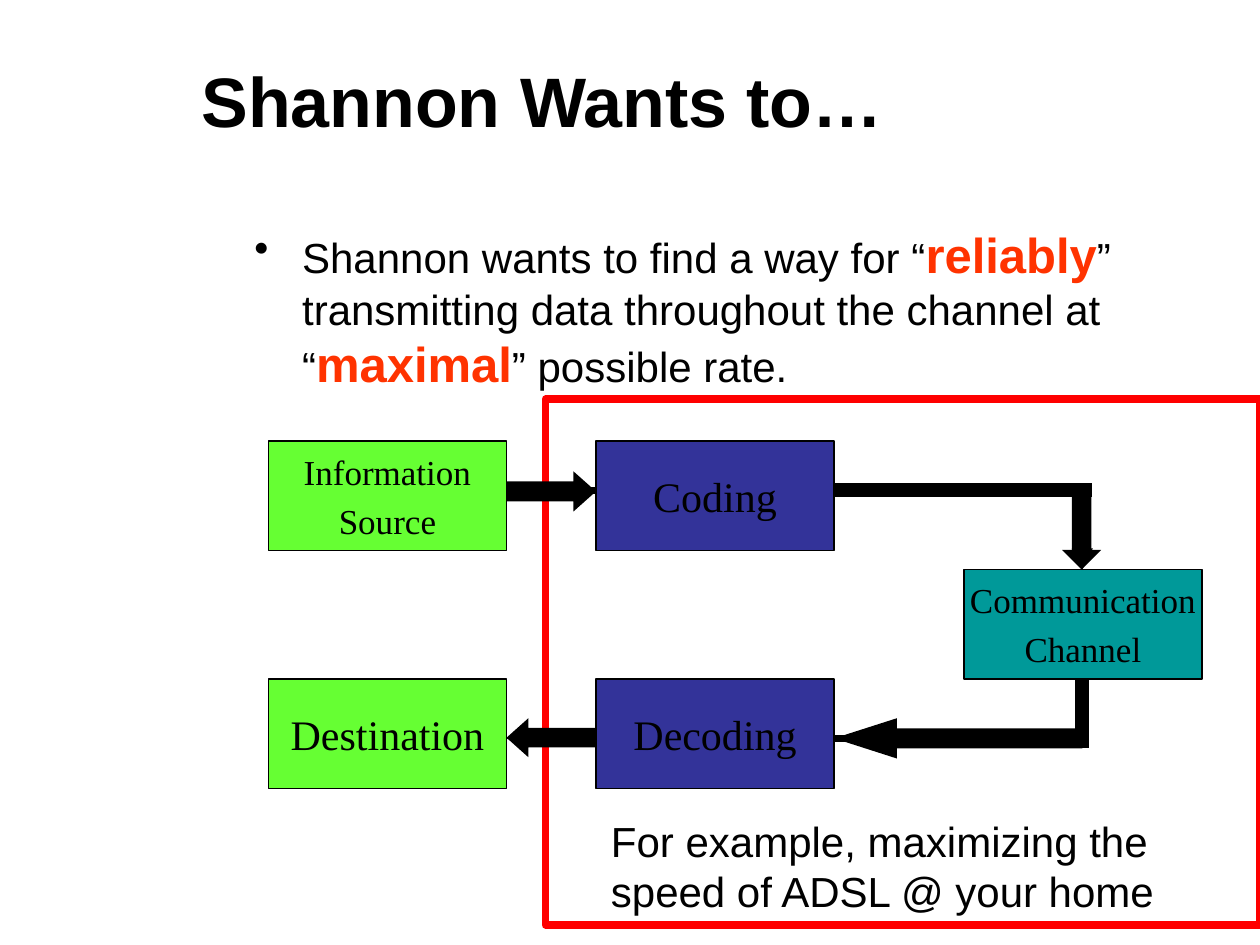
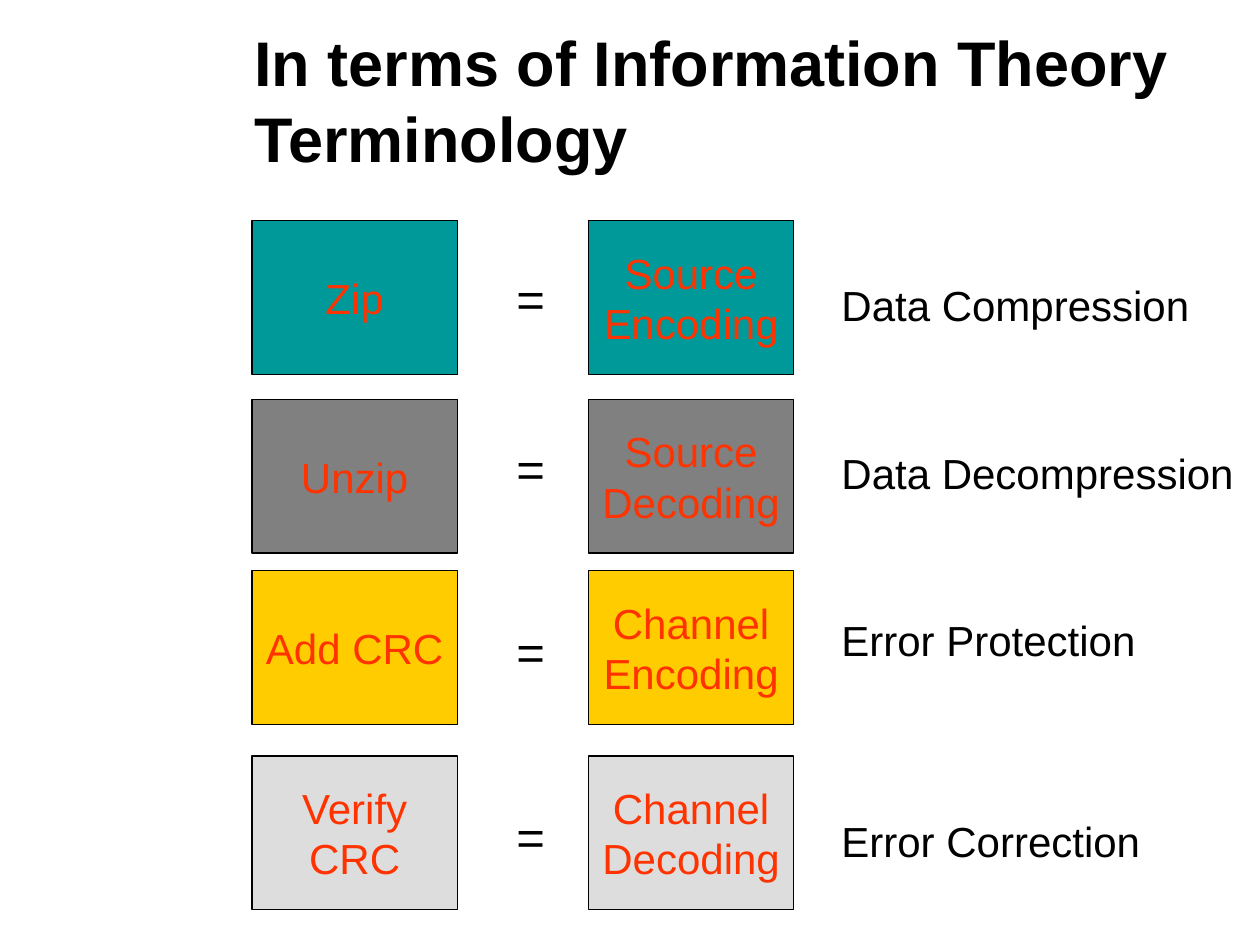
from lxml import etree
from pptx import Presentation
from pptx.dml.color import RGBColor
from pptx.enum import shapes, text
from pptx.oxml import ns
from pptx.util import Inches, Pt

BLACK = RGBColor(0x00, 0x00, 0x00)
RED = RGBColor(0xFF, 0x00, 0x00)
ACCENT = RGBColor(0xFF, 0x33, 0x00)
GREEN = RGBColor(0x66, 0xFF, 0x33)
BLUE = RGBColor(0x33, 0x33, 0x99)
TEAL = RGBColor(0x00, 0x99, 0x99)
GRAY = RGBColor(0x80, 0x80, 0x80)
YELLOW = RGBColor(0xFF, 0xCC, 0x00)
SILVER = RGBColor(0xDD, 0xDD, 0xDD)
SANS, SERIF = "Arial", "Times New Roman"
CENTER = text.PP_ALIGN.CENTER
MIDDLE = text.MSO_ANCHOR.MIDDLE
SHAPE = shapes.MSO_SHAPE


def write(sp, content, size=24, font=SANS, color=BLACK, bold=False, align=text.PP_ALIGN.LEFT,
          anchor=text.MSO_ANCHOR.TOP, wrap=True, fit=text.MSO_AUTO_SIZE.NONE, gap=0, bullet=None):
    """Write lines as paragraphs; parts between bars are larger, bold and in the accent colour."""
    tf = sp.text_frame
    tf.word_wrap, tf.auto_size, tf.vertical_anchor = wrap, fit, anchor
    for i, line in enumerate(content.split("\n")):
        p = tf.add_paragraph() if i else tf.paragraphs[0]
        p.alignment = align
        if i:
            p.space_before = Pt(gap)
        if bullet:
            pPr = p._p.get_or_add_pPr()
            pPr.set("marL", str(Inches(0.38)))
            pPr.set("indent", str(-Inches(0.38)))
            etree.SubElement(pPr, ns.qn("a:buChar")).set("char", bullet)
        for j, part in enumerate(line.split("|")):
            strong = j % 2 == 1
            r = p.add_run()
            r.text = part
            r.font.name = font
            r.font.size = Pt(size + 4 if strong else size)
            r.font.bold = bold or strong
            r.font.color.rgb = ACCENT if strong else color


def add_shape(s, kind, x, y, w, h, fill=None, line=None, width=0.75):
    sp = s.shapes.add_shape(kind, Inches(x), Inches(y), Inches(w), Inches(h))
    sp.shadow.inherit = False
    if fill is None:
        sp.fill.background()
    else:
        sp.fill.solid()
        sp.fill.fore_color.rgb = fill
    if line is None:
        sp.line.fill.background()
    else:
        sp.line.color.rgb = line
        sp.line.width = Pt(width)
    return sp


prs = Presentation()
prs.slide_width, prs.slide_height = Inches(10), Inches(7.5)

# Both slides with their titles
slides = []
for title, left, size in [("Shannon Wants to…", 1.5, 40),
                          ("In terms of Information Theory Terminology", 1.92, 36)]:
    s = prs.slides.add_slide(prs.slide_layouts[5])
    sp = s.shapes.title
    sp.left, sp.top, sp.width, sp.height = Inches(left), Inches(0.33), Inches(7.67), Inches(0.92)
    write(sp, title, size=size, bold=True, anchor=MIDDLE)
    slides.append(s)

# Slide 1: statement, frame and caption
s = slides[0]
sp = s.shapes.add_textbox(Inches(1.92), Inches(1.67), Inches(7.67), Inches(5))
sp.text_frame.margin_top = Inches(0.11)
write(sp, "Shannon wants to find a way for “|reliably|” transmitting data throughout "
          "the channel at “|maximal|” possible rate.", bullet="•")
add_shape(s, SHAPE.RECTANGLE, 4.33, 3.17, 5.67, 4.17, line=RED, width=4.5)
sp = s.shapes.add_textbox(Inches(4.75), Inches(6.42), Inches(5.05), Inches(0.9))
write(sp, "For example, maximizing the speed of ADSL @ your home",
      fit=text.MSO_AUTO_SIZE.SHAPE_TO_FIT_TEXT)

# Lines of the signal path
SOURCE_X, CODER_X, CHANNEL_X = 2.13, 4.73, 7.65
SEND_Y, CHANNEL_Y, RECEIVE_Y = 3.5, 4.52, 5.39
BOX_W, BOX_H = 1.89, 0.87
SEND_MID, RECEIVE_MID, CHANNEL_MID = 3.89, 5.86, 8.59
SOURCE_END, CODER_END = SOURCE_X + BOX_W, CODER_X + BOX_W
for x1, y1, x2, y2, width, arrow in [
        (CHANNEL_MID, RECEIVE_MID, SOURCE_END, RECEIVE_MID, 4, True),
        (SOURCE_END, SEND_MID, CHANNEL_MID, SEND_MID, 4, False),
        (CHANNEL_MID, RECEIVE_Y, CHANNEL_MID, RECEIVE_MID, 4, False),
        (CHANNEL_MID, SEND_MID, CHANNEL_MID, CHANNEL_Y, 4, True),
        (CHANNEL_MID, RECEIVE_Y, CHANNEL_MID, 5.94, 8, False),
        (CODER_END, SEND_MID, 8.67, SEND_MID, 8, False)]:
    c = s.shapes.add_connector(shapes.MSO_CONNECTOR.STRAIGHT,
                               Inches(x1), Inches(y1), Inches(x2), Inches(y2))
    c.line.color.rgb = BLACK
    c.line.width = Pt(width)
    etree.SubElement(c._element.spPr, ns.qn("a:effectLst"))
    if arrow:
        etree.SubElement(c.line._get_or_add_ln(), ns.qn("a:tailEnd")).set("type", "triangle")

# Stages of the signal path
for label, x, y, fill, size in [
        ("Destination", SOURCE_X, RECEIVE_Y, GREEN, 24),
        ("Decoding", CODER_X, RECEIVE_Y, BLUE, 24),
        ("Communication\nChannel", CHANNEL_X, CHANNEL_Y, TEAL, 20),
        ("Coding", CODER_X, SEND_Y, BLUE, 24),
        ("Information\nSource", SOURCE_X, SEND_Y, GREEN, 20)]:
    sp = add_shape(s, SHAPE.RECTANGLE, x, y, BOX_W, BOX_H, fill, BLACK)
    write(sp, label, size=size, font=SERIF, align=CENTER, anchor=MIDDLE, wrap=False, gap=4)

# Block arrows between the stages
for kind, x, y, w, h, head in [
        (SHAPE.RIGHT_ARROW, SOURCE_END, 3.74, 0.71, 0.32, 0.56),
        (SHAPE.LEFT_ARROW, CODER_END, 5.7, 1.97, 0.32, 1.56),
        (SHAPE.DOWN_ARROW, 8.43, SEND_MID, 0.31, 0.63, 0.5),
        (SHAPE.LEFT_ARROW, SOURCE_END, 5.7, 0.71, 0.31, 0.56)]:
    sp = add_shape(s, kind, x, y, w, h, BLACK)
    sp.adjustments[0], sp.adjustments[1] = 0.5, head

# Slide 2: one row per pair of equal terms
s = slides[1]
for y, fill, term, theory, equals_y, meaning, meaning_y, meaning_w in [
        (1.75, TEAL, "Zip", "Source\nEncoding", 2.08, "Data Compression", 2.17, 2.97),
        (3.17, GRAY, "Unzip", "Source Decoding", 3.43, "Data Decompression", 3.5, 3.32),
        (4.53, YELLOW, "Add CRC", "Channel Encoding", 4.88, "Error Protection", 4.83, 2.54),
        (6, SILVER, "Verify CRC", "Channel Decoding", 6.35, "Error Correction", 6.42, 2.57)]:
    for x, label in [(2, term), (4.67, theory)]:
        sp = add_shape(s, SHAPE.RECTANGLE, x, y, 1.63, 1.22, fill, BLACK)
        write(sp, label, color=ACCENT, align=CENTER, anchor=MIDDLE)
    for label, x, top, w, h, size in [("=", 4, equals_y, 0.43, 0.57, 28),
                                      (meaning, 6.58, meaning_y, meaning_w, 0.5, 24)]:
        sp = s.shapes.add_textbox(Inches(x), Inches(top), Inches(w), Inches(h))
        write(sp, label, size=size, wrap=False, fit=text.MSO_AUTO_SIZE.SHAPE_TO_FIT_TEXT)

prs.save("out.pptx")
